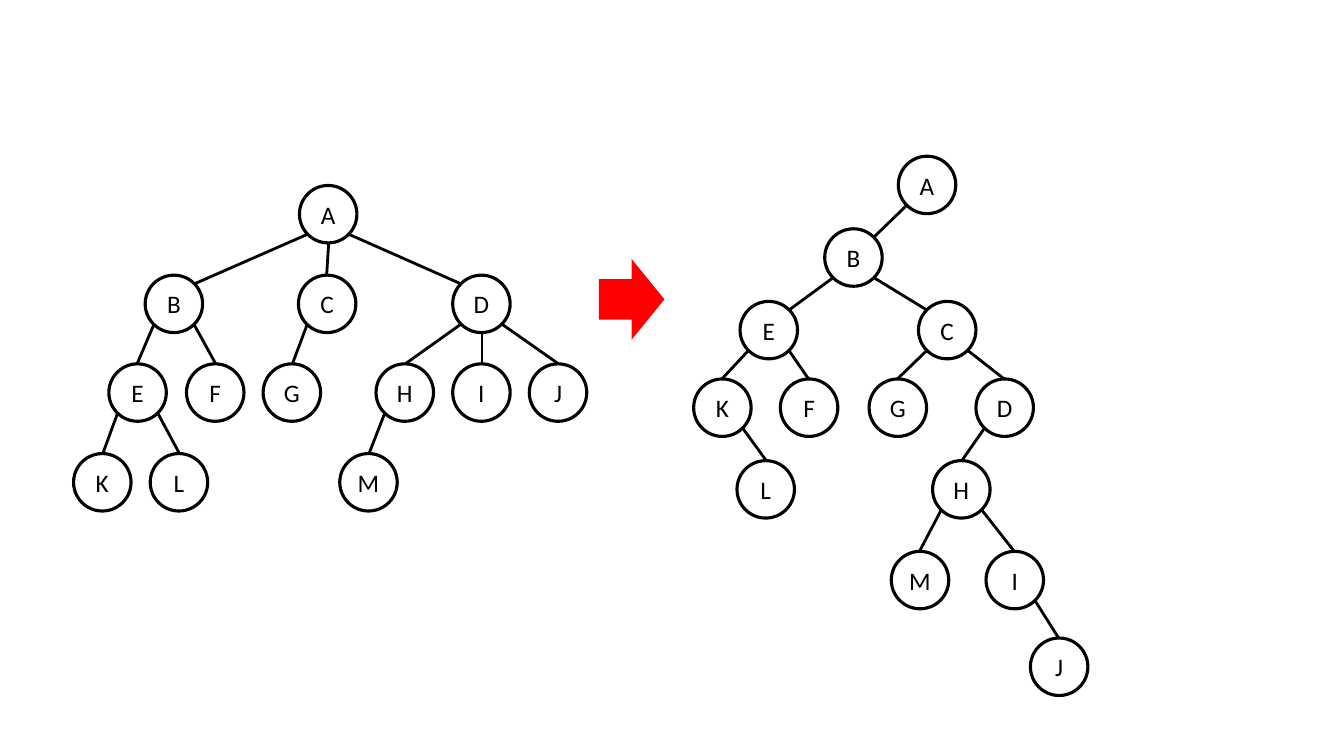
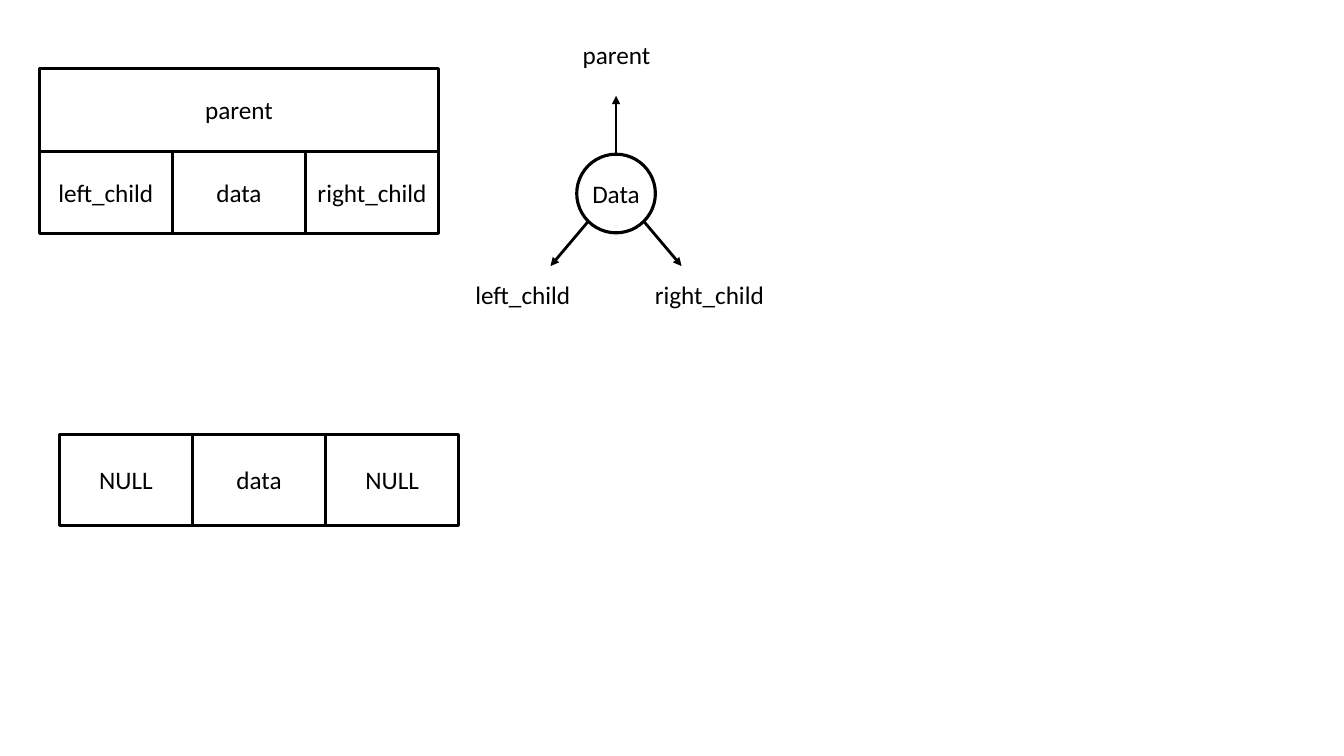
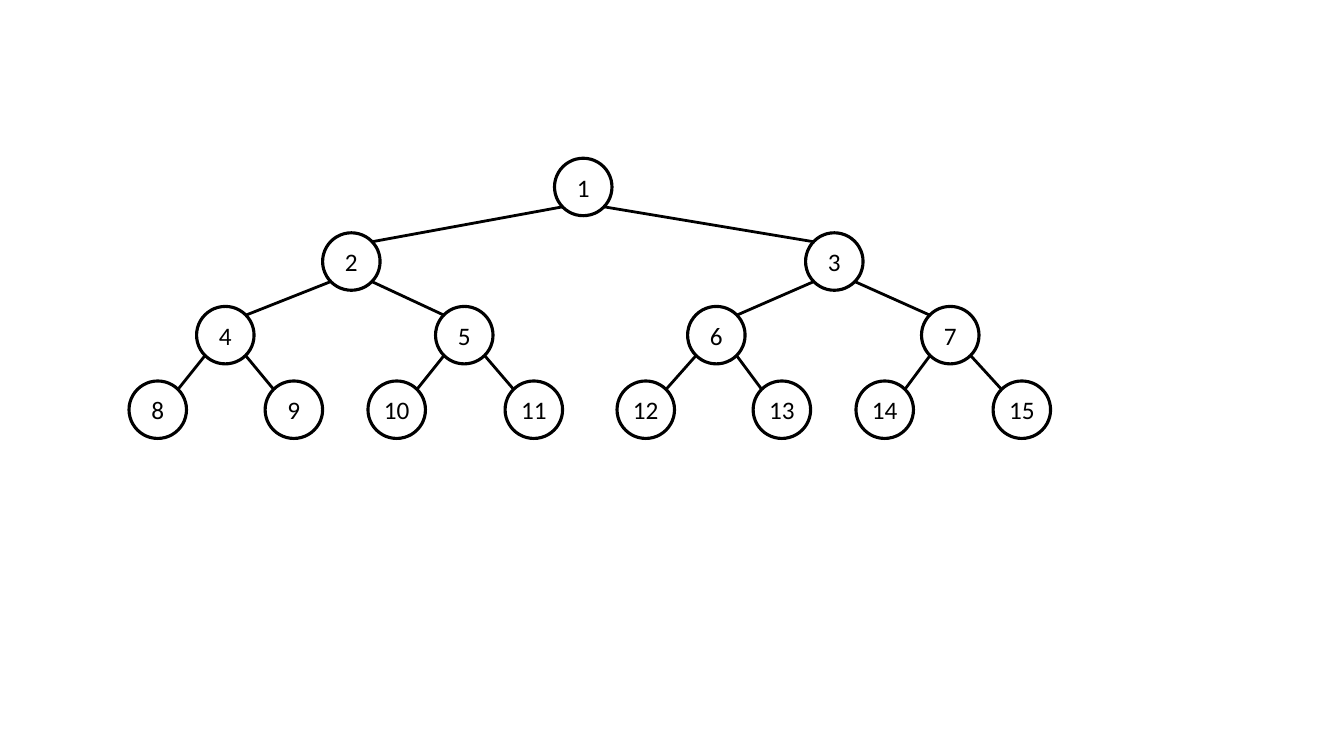
from dataclasses import dataclass

from lxml import etree
from pptx import Presentation
from pptx import util as u
from pptx.dml import color
from pptx.enum import shapes, text
from pptx.oxml import ns
from pptx.shapes import autoshape, shapetree

PX = 9144
FONT = "Calibri"
COLORS = {"paper": "FFFFFF", "ink": "000000", "arrow": "FF0000"}
NODE_SIZE = 57
SITES = {
    "top": (0.5, 0),
    "bottom": (0.5, 1),
    "top_left": (0.15, 0.15),
    "top_right": (0.85, 0.15),
    "bottom_left": (0.15, 0.85),
    "bottom_right": (0.85, 0.85),
}
Shapes = shapetree.SlideShapes | shapetree.GroupShapes
Point = tuple[int, int]


@dataclass(frozen=True)
class Box:
    x: int
    y: int
    w: int
    h: int

    def site(self, name: str) -> Point:
        fx, fy = SITES[name]
        return round(self.x + fx * self.w), round(self.y + fy * self.h)


@dataclass(frozen=True)
class Row:
    y: int
    nodes: dict[str, int]


@dataclass(frozen=True)
class Tree:
    rows: list[Row]
    parents: dict[str, str]
    corner_parents: set[str]


@dataclass(frozen=True)
class CellRow:
    x: int
    y: int
    w: int
    h: int
    labels: list[str]


def rgb(name: str) -> color.RGBColor:
    return color.RGBColor.from_string(COLORS[name])


def add_box(
    sps: Shapes,
    box: Box,
    label: str = "",
    kind: shapes.MSO_SHAPE = shapes.MSO_SHAPE.RECTANGLE,
    fill: str = "paper",
    outlined: bool = True,
) -> autoshape.Shape:
    sp = sps.add_shape(kind, box.x * PX, box.y * PX, box.w * PX, box.h * PX)
    sp.shadow.inherit = False
    sp.fill.solid()
    sp.fill.fore_color.rgb = rgb(fill)
    if outlined:
        sp.line.color.rgb = rgb("ink")
        sp.line.width = u.Pt(2.25)
    else:
        sp.line.fill.background()
    if label:
        tf = sp.text_frame
        tf.margin_left = tf.margin_right = tf.margin_top = tf.margin_bottom = 0
        tf.vertical_anchor = text.MSO_ANCHOR.MIDDLE
        p = tf.paragraphs[0]
        p.alignment = text.PP_ALIGN.CENTER
        r = p.add_run()
        r.text = label
        r.font.name = FONT
        r.font.size = u.Pt(18)
        r.font.color.rgb = rgb("ink")
    return sp


def add_line(sps: Shapes, start: Point, end: Point, arrow: bool = False) -> None:
    cxn = sps.add_connector(
        shapes.MSO_CONNECTOR.STRAIGHT, *(v * PX for v in start + end)
    )
    cxn.line.color.rgb = rgb("ink")
    cxn.line.width = u.Pt(2)
    if arrow:
        ln = cxn.line._get_or_add_ln()
        etree.SubElement(ln, ns.qn("a:tailEnd"), type="triangle")
    etree.SubElement(cxn._element.spPr, ns.qn("a:effectLst"))


def add_tree(sps: Shapes, tree: Tree) -> None:
    boxes = {
        name: Box(x, row.y, NODE_SIZE, NODE_SIZE)
        for row in tree.rows
        for name, x in row.nodes.items()
    }
    for name, box in boxes.items():
        add_box(sps, box, name, shapes.MSO_SHAPE.OVAL)
    for child, parent in tree.parents.items():
        shift = boxes[child].x - boxes[parent].x
        leave, enter = "bottom", "top"
        if abs(shift) > 10:
            leave = "bottom_left" if shift < 0 else "bottom_right"
            if parent in tree.corner_parents:
                enter = "top_right" if shift < 0 else "top_left"
        add_line(sps, boxes[parent].site(leave), boxes[child].site(enter))


def add_cells(sps: Shapes, row: CellRow) -> None:
    for i, label in enumerate(row.labels):
        add_box(sps, Box(row.x + i * row.w, row.y, row.w, row.h), label)


GENERAL_TREE = Tree(
    [
        Row(184, {"A": 297}),
        Row(273, {"B": 144, "C": 296, "D": 449}),
        Row(361, {"E": 108, "F": 185, "G": 261, "H": 373, "I": 449, "J": 525}),
        Row(450, {"K": 73, "L": 149, "M": 337}),
    ],
    dict(zip("BCDEFGHIJKLM", "AAABBCDDDEEH")),
    {"A"},
)
BINARY_TREE = Tree(
    [
        Row(155, {"A": 891}),
        Row(227, {"B": 818}),
        Row(299, {"E": 734, "C": 911}),
        Row(376, {"K": 688, "F": 774, "G": 862, "D": 968}),
        Row(457, {"L": 731, "H": 925}),
        Row(547, {"M": 884, "I": 978}),
        Row(633, {"J": 1022}),
    ],
    dict(zip("BECKFGDLHMIJ", "ABBEECCKDHHI")),
    {"A", "B"},
)
LEVELS = [
    (157, [550]),
    (231, [320, 799]),
    (304, [195, 432, 682, 914]),
    (378, [128, 263, 365, 501, 612, 747, 849, 985]),
]
FULL_TREE = Tree(
    [
        Row(y, {str(2**depth + i): x for i, x in enumerate(xs)})
        for depth, (y, xs) in enumerate(LEVELS)
    ],
    {str(n): str(n // 2) for n in range(2, 16)},
    {str(n) for n in range(1, 8)},
)


def draw_conversion(sps: shapetree.SlideShapes) -> None:
    add_tree(sps.add_group_shape().shapes, GENERAL_TREE)
    add_box(
        sps,
        Box(594, 257, 65, 80),
        kind=shapes.MSO_SHAPE.RIGHT_ARROW,
        fill="arrow",
        outlined=False,
    )
    add_tree(sps, BINARY_TREE)


def draw_node_layout(sps: shapetree.SlideShapes) -> None:
    record = sps.add_group_shape().shapes
    add_cells(record, CellRow(39, 150, 132, 82, ["left_child", "data", "right_child"]))
    add_box(record, Box(39, 68, 3 * 132, 82), "parent")

    for label, x, y in [
        ("parent", 547, 15),
        ("left_child", 454, 253),
        ("right_child", 639, 253),
    ]:
        add_box(sps, Box(x, y, 129, 78), label, outlined=False)
    data = Box(572, 153, 78, 78)
    add_box(sps, data, "Data", shapes.MSO_SHAPE.OVAL)
    for site, tip in [
        ("top", (611, 95)),
        ("bottom_left", (546, 264)),
        ("bottom_right", (676, 264)),
    ]:
        add_line(sps, data.site(site), tip, arrow=True)

    leaf = sps.add_group_shape().shapes
    add_cells(leaf, CellRow(59, 431, 132, 90, ["NULL", "data", "NULL"]))


def draw_full_tree(sps: shapetree.SlideShapes) -> None:
    add_tree(sps, FULL_TREE)


def main() -> None:
    prs = Presentation()
    prs.slide_width, prs.slide_height = 1333 * PX, 750 * PX
    for draw in (draw_conversion, draw_node_layout, draw_full_tree):
        draw(prs.slides.add_slide(prs.slide_layouts[6]).shapes)
    prs.save("out.pptx")


if __name__ == "__main__":
    main()
